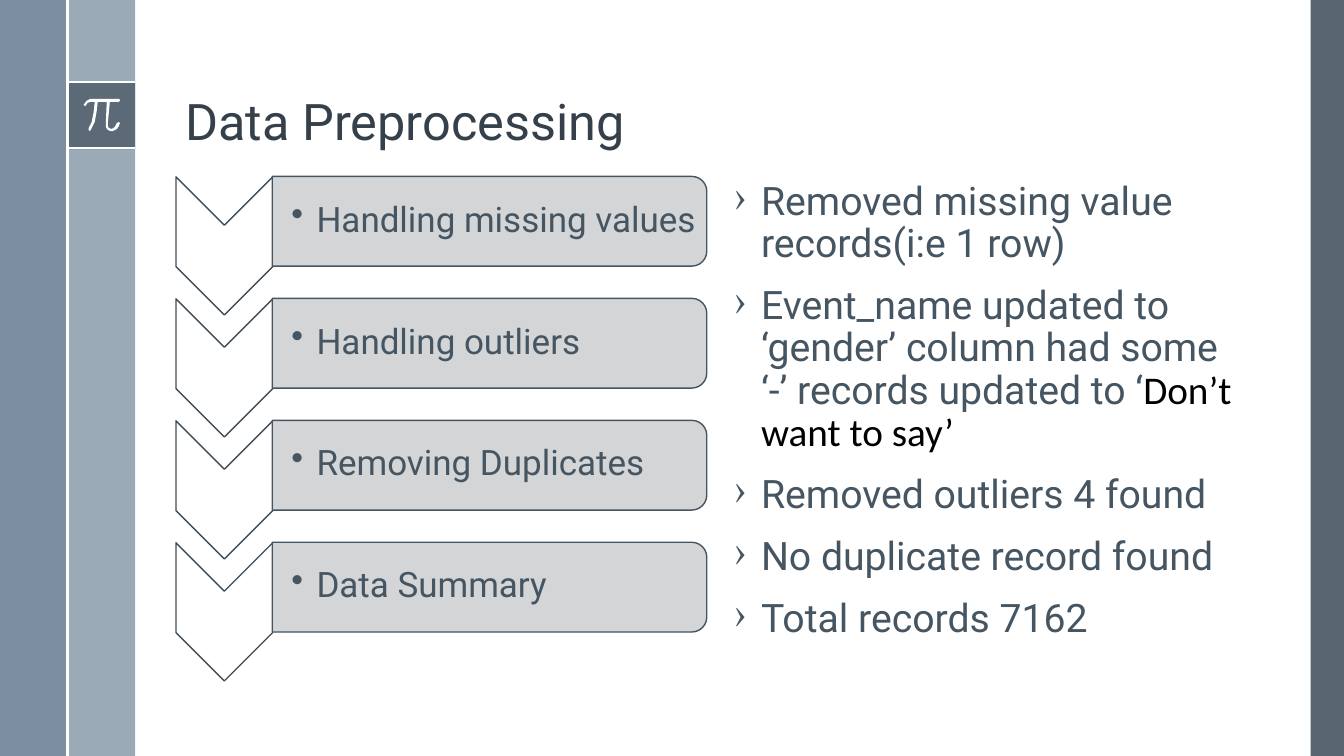
import pptx
import pptx.dml.color
import pptx.enum.shapes
import pptx.enum.text
import pptx.oxml.ns
import pptx.util
from lxml import etree
from pptx.util import Inches

SHAPES = pptx.enum.shapes.MSO_SHAPE
ANCHOR = pptx.enum.text.MSO_ANCHOR
qn = pptx.oxml.ns.qn

WHITE, SLATE = "FFFFFF", "475562"
TEXT = "465562"


def color(code):
    return pptx.dml.color.RGBColor.from_string(code)


def add_text(para, text, size=28, font="Roboto", fill=TEXT):
    span = para.add_run()
    span.text = text
    span.font.size = pptx.util.Pt(size)
    span.font.name = font
    span.font.color.rgb = color(fill)
    para.line_spacing = 0.9


def add_bullet(para, mark, indent):
    props = para._p.get_or_add_pPr()
    props.set("marL", str(Inches(indent)))
    props.set("indent", str(Inches(-indent)))
    etree.SubElement(props, qn("a:buChar")).set("char", mark)


class SlideBuilder:
    def __init__(self, deck):
        self.page = deck.slides.add_slide(deck.slide_layouts[5])
        self.shapes = self.page.shapes

    def paint(self, shape, fill, opacity=100, line=None):
        shape.shadow.inherit = False
        shape.fill.solid()
        shape.fill.fore_color.rgb = color(fill)
        if opacity < 100:
            tone = shape._element.spPr.find(".//" + qn("a:srgbClr"))
            etree.SubElement(tone, qn("a:alpha")).set("val", str(opacity * 1000))
        if line:
            shape.line.color.rgb = color(line)
            shape.line.width = pptx.util.Pt(1)
        else:
            shape.line.fill.background()

    def shape(self, kind, left, top, width, height, fill, rotation=0, **style):
        shape = self.shapes.add_shape(
            kind, Inches(left), Inches(top), Inches(width), Inches(height))
        shape.rotation = rotation
        self.paint(shape, fill, **style)

    def line(self, x1, y1, x2, y2):
        line = self.shapes.add_connector(
            pptx.enum.shapes.MSO_CONNECTOR.STRAIGHT,
            Inches(x1), Inches(y1), Inches(x2), Inches(y2))
        line.line.color.rgb = color(WHITE)
        line.line.width = pptx.util.Pt(1.5)
        etree.SubElement(line._element.spPr, qn("a:effectLst"))

    def outline(self, points, fill):
        builder = self.shapes.build_freeform(*points[0], scale=Inches(0.01))
        builder.add_line_segments(points[1:], close=True)
        self.paint(builder.convert_to_shape(), fill)

    def title(self, text, left, top, width, height):
        box = self.shapes.title
        box.left, box.top = Inches(left), Inches(top)
        box.width, box.height = Inches(width), Inches(height)
        frame = box.text_frame
        frame.auto_size = pptx.enum.text.MSO_AUTO_SIZE.NONE
        frame.vertical_anchor = ANCHOR.BOTTOM
        para = frame.paragraphs[0]
        para.alignment = pptx.enum.text.PP_ALIGN.LEFT
        add_text(para, text, size=36, fill="35404A")

    def bullets(self, items, left, top, width, height, mark, indent, size,
                anchor=ANCHOR.TOP, insets=(0.1, 0.05, 0.1, 0.05), space=0):
        box = self.shapes.add_textbox(
            Inches(left), Inches(top), Inches(width), Inches(height))
        frame = box.text_frame
        frame.word_wrap = True
        frame.vertical_anchor = anchor
        (frame.margin_left, frame.margin_top,
         frame.margin_right, frame.margin_bottom) = map(Inches, insets)
        for index, spans in enumerate(items):
            para = frame.add_paragraph() if index else frame.paragraphs[0]
            for text, style in spans:
                add_text(para, text, size=size, **style)
            para.space_before = pptx.util.Pt(space)
            add_bullet(para, mark, indent)


STEPS = ["Handling missing values", "Handling outliers",
         "Removing Duplicates", "Data Summary"]
STEP_PITCH = 1.21

FINDINGS = [
    [("Removed missing value records(i:e 1 row)", {})],
    [("Event_name updated to ‘gender’ column had some ‘-’ records updated to ‘", {}),
     ("Don’t want to say’", {"font": "Calibri", "fill": "000000"})],
    [("Removed outliers 4 found", {})],
    [("No duplicate record found", {})],
    [("Total records 7162", {})],
]

# Outline of the pi sign, in hundredths of an inch
PI_SIGN = [
    (118, 98), (90, 98), (86, 100), (83, 104), (84, 105), (85, 105),
    (87, 102), (90, 101), (94, 101), (93, 111), (91, 121), (88, 127),
    (88, 129), (89, 129.5), (90, 129), (94, 121), (96, 110), (97, 101),
    (106, 101), (105, 122), (105, 126), (107, 129), (110, 130), (112, 130),
    (116, 128), (118, 125), (119, 122), (118, 121), (116, 122), (114, 126),
    (111, 128), (108, 127), (107, 125), (107, 122), (109, 101), (118, 101),
    (119, 100), (119, 99),
]


def main():
    deck = pptx.Presentation()
    deck.slide_width, deck.slide_height = Inches(13.33), Inches(7.5)
    slide = SlideBuilder(deck)

    # Side bands and the pi tile
    slide.shape(SHAPES.RECTANGLE, 13, 0, 0.33, 7.5, SLATE, opacity=90)
    slide.shape(SHAPES.RECTANGLE, 0.67, 0, 0.67, 7.5, "9BAAB7")
    slide.shape(SHAPES.RECTANGLE, 0, 0, 0.67, 7.5, "6A8093", opacity=88)
    slide.shape(SHAPES.RECTANGLE, 0.67, 0.81, 0.67, 0.67, SLATE, opacity=75)
    for y in (0.81, 1.47):
        slide.line(0.67, y, 1.34, y)
    slide.outline(PI_SIGN, WHITE)
    slide.line(0.67, 0, 0.67, 7.5)

    slide.title("Data Preprocessing", 1.74, 0.19, 10.7, 1.36)

    # Steps: a downward chevron and a label bar in each row
    for row, step in enumerate(STEPS):
        drop = row * STEP_PITCH
        slide.shape(SHAPES.CHEVRON, 1.54, 1.96 + drop, 1.37, 0.96, WHITE,
                    rotation=90, line="404D59")
        slide.shape(SHAPES.ROUND_2_SAME_RECTANGLE, 4.41, 0.04 + drop, 0.89, 4.31,
                    "CFD1D3", rotation=90, opacity=90, line=TEXT)
        slide.bullets([[(step, {})]], 2.7, 1.79 + drop, 4.26, 0.8,
                      mark="•", indent=0.25, size=25, anchor=ANCHOR.MIDDLE,
                      insets=(0.19, 0.02, 0.02, 0.02))

    # Findings
    slide.bullets(FINDINGS, 7.18, 1.75, 5.27, 5,
                  mark="›", indent=0.27, size=28, space=14)

    deck.save("out.pptx")


if __name__ == "__main__":
    main()
